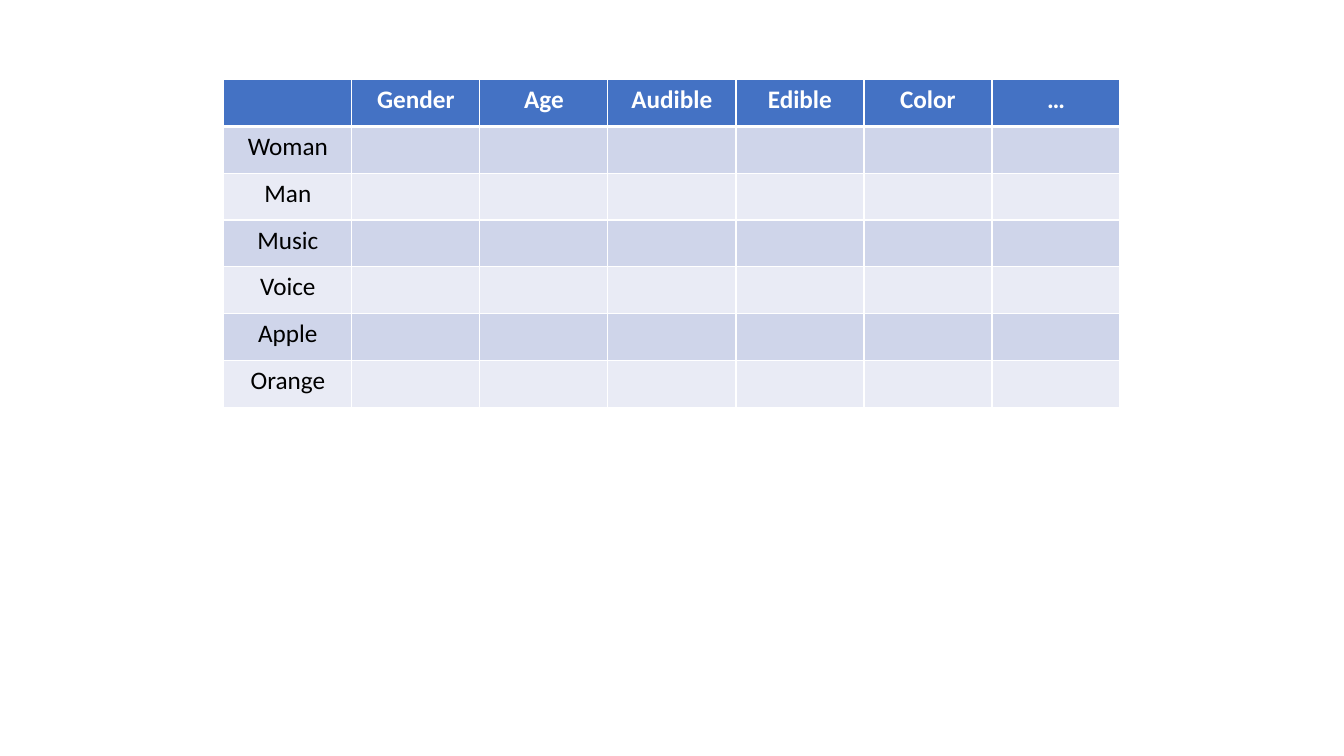
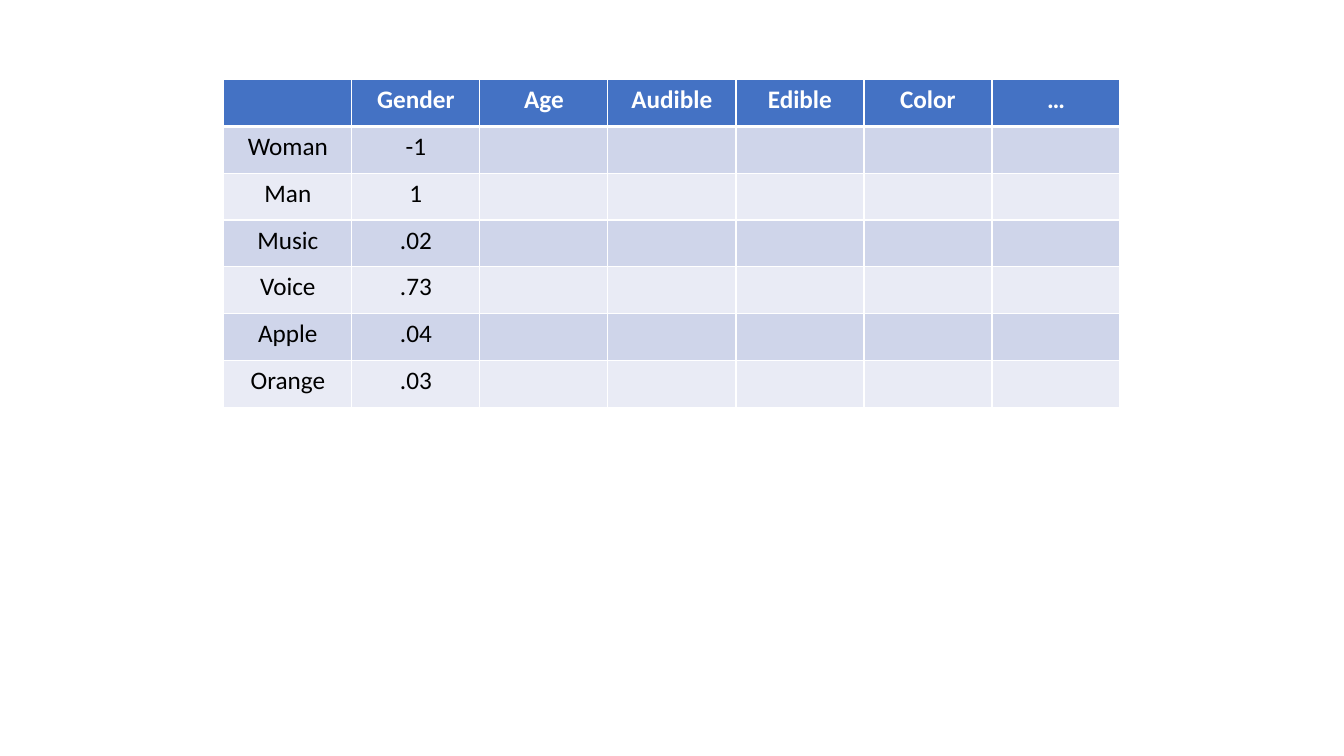
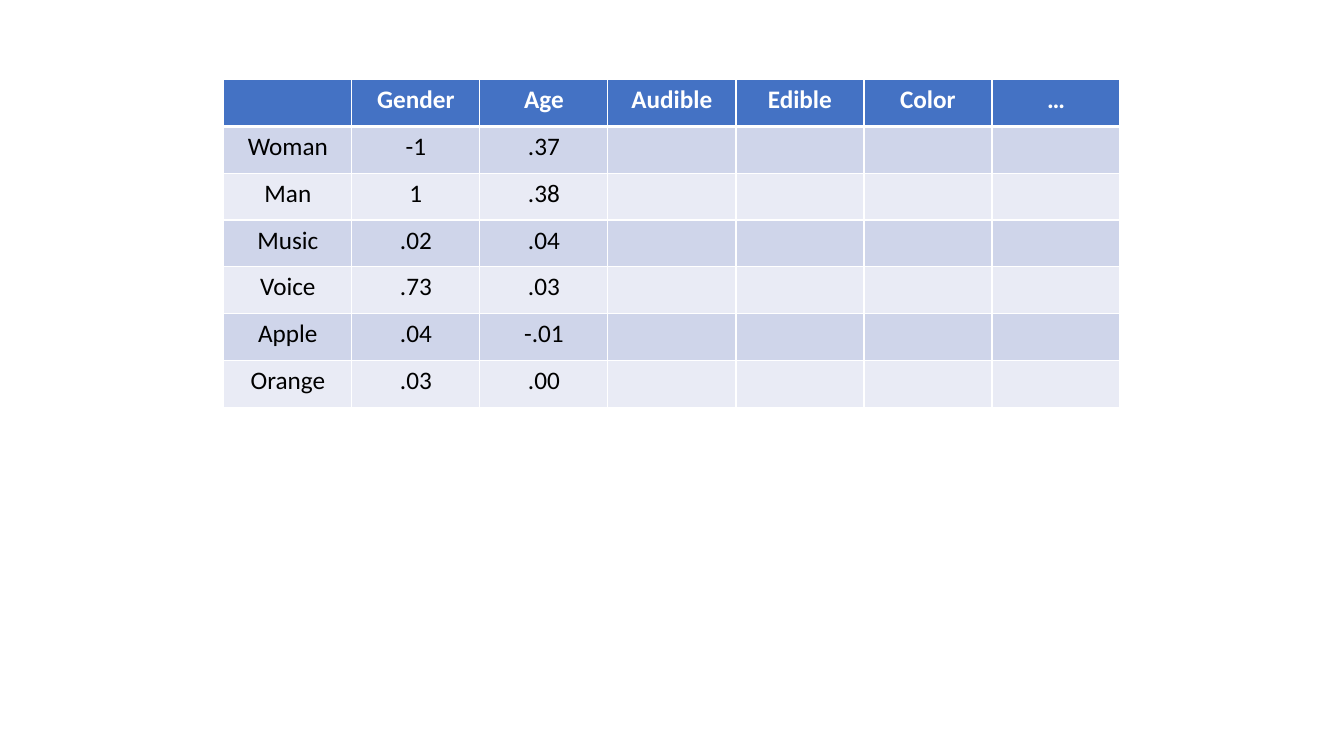
from lxml.etree import SubElement
from pptx import Presentation
from pptx.dml.color import RGBColor
from pptx.enum.text import PP_ALIGN
from pptx.oxml.ns import qn
from pptx.util import Inches, Pt

COLORS = {
    "header": "4472C4",
    "odd_row": "CFD5EA",
    "even_row": "E9EBF5",
    "border": "FFFFFF",
    "header_text": "FFFFFF",
    "body_text": "000000",
}
FONT = "Calibri"
BLANK_LAYOUT = 6
THIN, THICK = Pt(1), Pt(3)

FEATURES = ["Gender", "Age", "Audible", "Edible", "Color", "…"]
WORDS = ["Woman", "Man", "Music", "Voice", "Apple", "Orange"]
SCORES = {
    "Gender": ["-1", "1", ".02", ".73", ".04", ".03"],
    "Age": [".37", ".38", ".04", ".03", "-.01", ".00"],
}


def set_borders(cell, top, bottom):
    """Draw the four cell borders; the sides are always thin."""
    properties = cell._tc.get_or_add_tcPr()
    widths = {"a:lnL": THIN, "a:lnR": THIN, "a:lnT": top, "a:lnB": bottom}
    for edge, width in widths.items():
        line = SubElement(properties, qn(edge), w=str(width))
        fill = SubElement(line, qn("a:solidFill"))
        SubElement(fill, qn("a:srgbClr"), val=COLORS["border"])


def format_cell(cell, text, row):
    """Write and style one cell according to its row."""
    is_header = row == 0
    set_borders(cell, top=THICK if row == 1 else THIN, bottom=THICK if is_header else THIN)
    band = "header" if is_header else "odd_row" if row % 2 else "even_row"
    cell.fill.solid()
    cell.fill.fore_color.rgb = RGBColor.from_string(COLORS[band])

    cell.text = text
    label = cell.text_frame.paragraphs[0]
    label.alignment = PP_ALIGN.CENTER
    label.font.name = FONT
    label.font.size = Pt(18)
    label.font.bold = is_header
    text_color = COLORS["header_text" if is_header else "body_text"]
    label.font.color.rgb = RGBColor.from_string(text_color)


def add_feature_slide(deck, scored):
    """Add the word-by-feature table with the scored features filled in."""
    slide = deck.slides.add_slide(deck.slide_layouts[BLANK_LAYOUT])
    blanks = [""] * len(WORDS)
    columns = [["", *WORDS]]
    for feature in FEATURES:
        scores = SCORES[feature] if feature in scored else blanks
        columns.append([feature, *scores])

    table = slide.shapes.add_table(
        len(WORDS) + 1, len(columns),
        Inches(2.22), Inches(0.79), Inches(8.89), Inches(3.25),
    ).table
    for column, texts in enumerate(columns):
        for row, text in enumerate(texts):
            format_cell(table.cell(row, column), text, row)


def main():
    """Build the three slides, scoring one more feature on each."""
    deck = Presentation()
    deck.slide_width, deck.slide_height = Inches(13.33), Inches(7.5)
    for scored_count in range(len(SCORES) + 1):
        add_feature_slide(deck, FEATURES[:scored_count])
    deck.save("out.pptx")


main()
